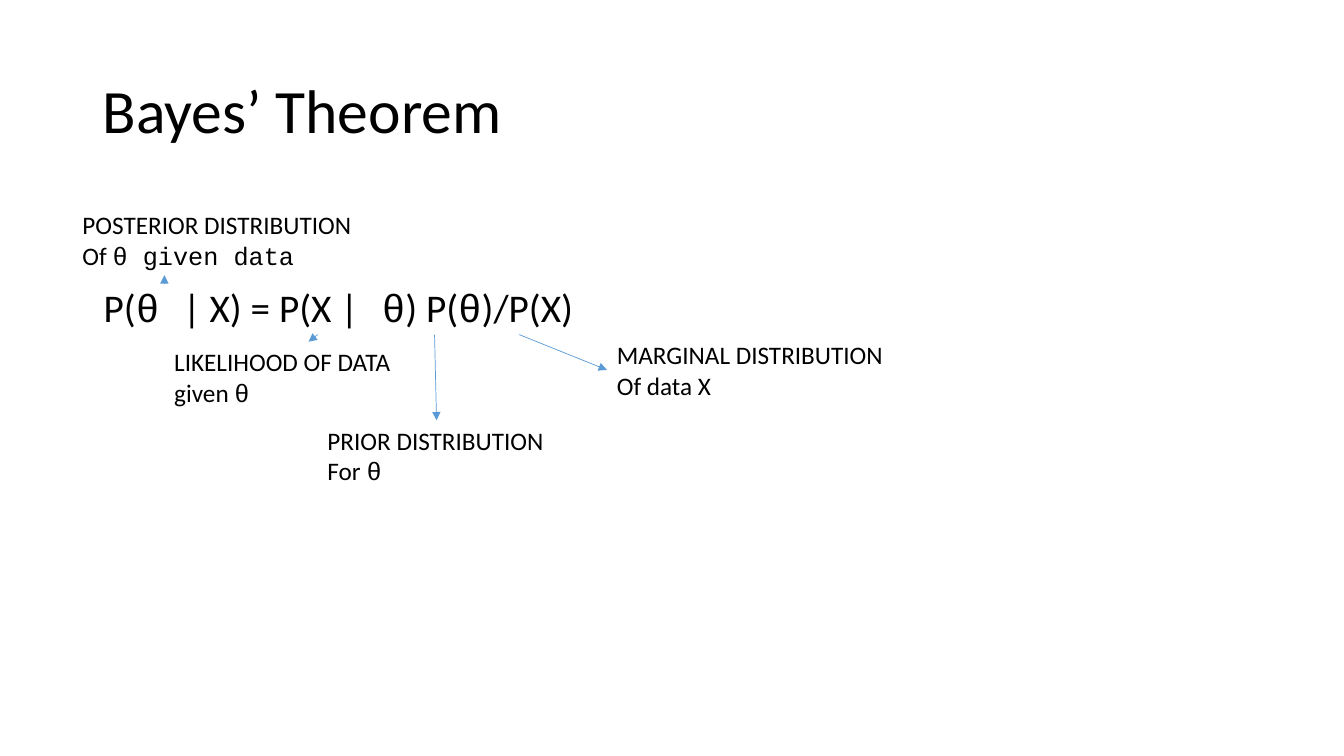
from lxml import etree
from pptx import Presentation
from pptx.dml.color import RGBColor
from pptx.enum import shapes, text
from pptx.oxml import ns
from pptx.util import Inches, Pt

SANS, MONO = "Calibri", "Courier New"


def color(value):
    return RGBColor.from_string(value)


def add_text(s, box, paragraphs, size, anchor=text.MSO_ANCHOR.TOP, **spacing):
    tf = s.shapes.add_textbox(*map(Inches, box)).text_frame
    tf.word_wrap = True
    tf.vertical_anchor = anchor
    for i, runs in enumerate(paragraphs):
        p = tf.paragraphs[0] if i == 0 else tf.add_paragraph()
        for name, value in spacing.items():
            setattr(p, name, value)
        for words, font in runs:
            r = p.add_run()
            r.text = words
            for name, value in {"name": font, "size": Pt(size)}.items():
                setattr(r.font, name, value)
            r.font.color.rgb = color("000000")
    return tf


prs = Presentation()
prs.slide_width, prs.slide_height = Inches(13.33), Inches(7.5)
s = prs.slides.add_slide(prs.slide_layouts[6])

add_text(s, (0.92, 0.4, 11.5, 1.45), [[("Bayes’ Theorem", SANS)]], 44,
         text.MSO_ANCHOR.MIDDLE, line_spacing=0.9)

formula = [("P(", SANS), ("θ ", MONO), ("| X) = P(X |", SANS), (" θ", MONO),
           (") P(", SANS), ("θ", MONO), (")/P(X)", SANS)]
add_text(s, (0.93, 2.81, 11.5, 4.76), [formula], 28,
         line_spacing=0.9, space_before=Pt(10))

labels = [
    (0.72, 2.03, [[("POSTERIOR DISTRIBUTION", SANS)],
                  [("Of ", SANS), ("θ given data", MONO)]]),
    (1.63, 3.39, [[("LIKELIHOOD OF DATA given ", SANS), ("θ", MONO)]]),
    (3.15, 4.17, [[("PRIOR DISTRIBUTION", SANS)],
                  [("For ", SANS), ("θ", MONO)]]),
    (6.02, 3.32, [[("MARGINAL DISTRIBUTION", SANS)],
                  [("Of data X", SANS)]]),
]
for left, top, paragraphs in labels:
    tf = add_text(s, (left, top, 2.87, 0.71), paragraphs, 18)
    tf.auto_size = text.MSO_AUTO_SIZE.SHAPE_TO_FIT_TEXT

arrows = [
    (5.15, 3.32, 6.02, 3.67),
    (4.31, 3.32, 4.33, 4.17),
    (3.15, 3.32, 3.06, 3.39),
    (1.63, 2.81, 1.63, 2.73),
]
for ends in arrows:
    arrow = s.shapes.add_connector(shapes.MSO_CONNECTOR.STRAIGHT, *map(Inches, ends))
    arrow.line.color.rgb = color("5B9BD5")
    arrow.line.width = Pt(0.5)
    etree.SubElement(arrow.line._get_or_add_ln(), ns.qn("a:tailEnd"), type="triangle")
    etree.SubElement(arrow._element.spPr, ns.qn("a:effectLst"))

prs.save("out.pptx")
